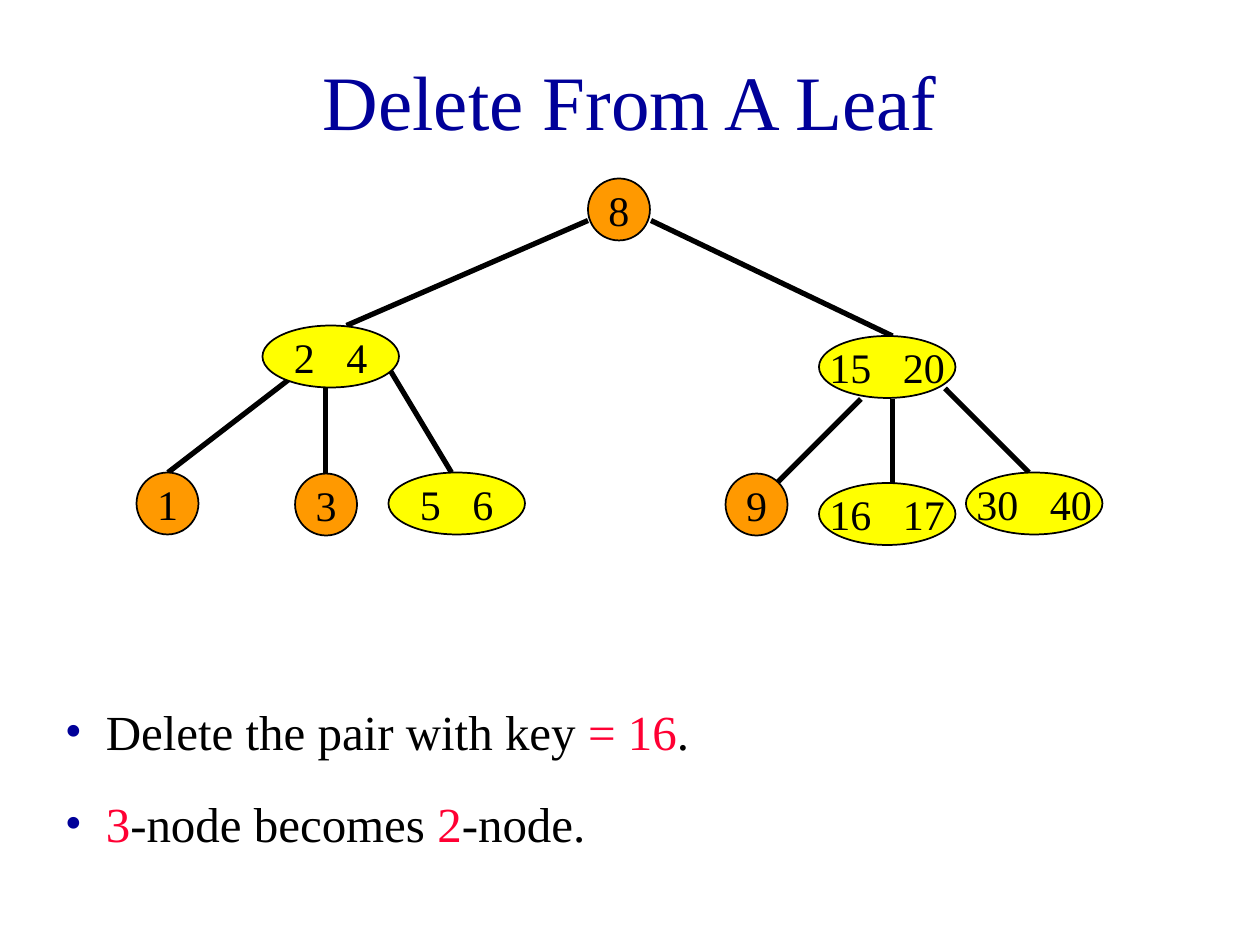
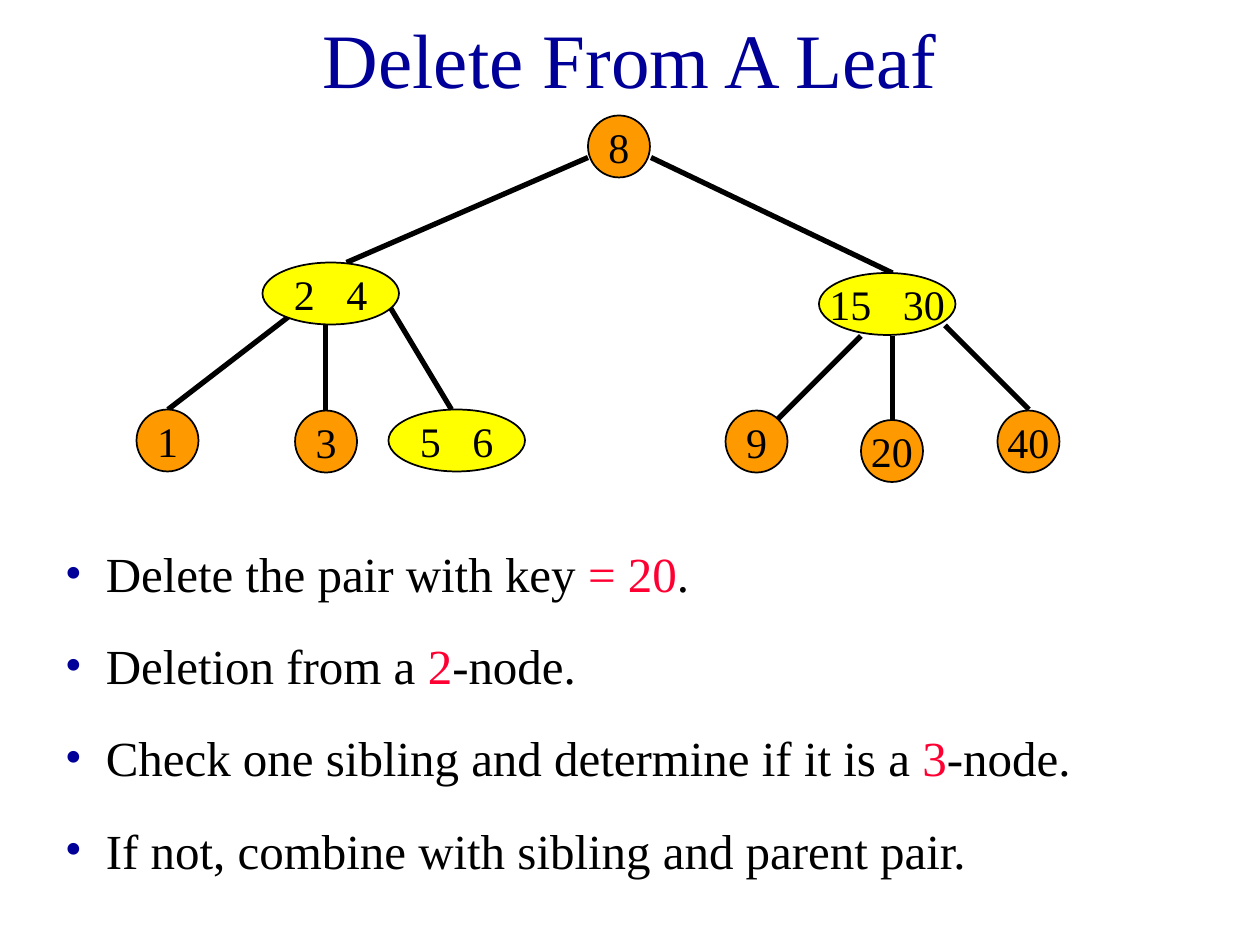
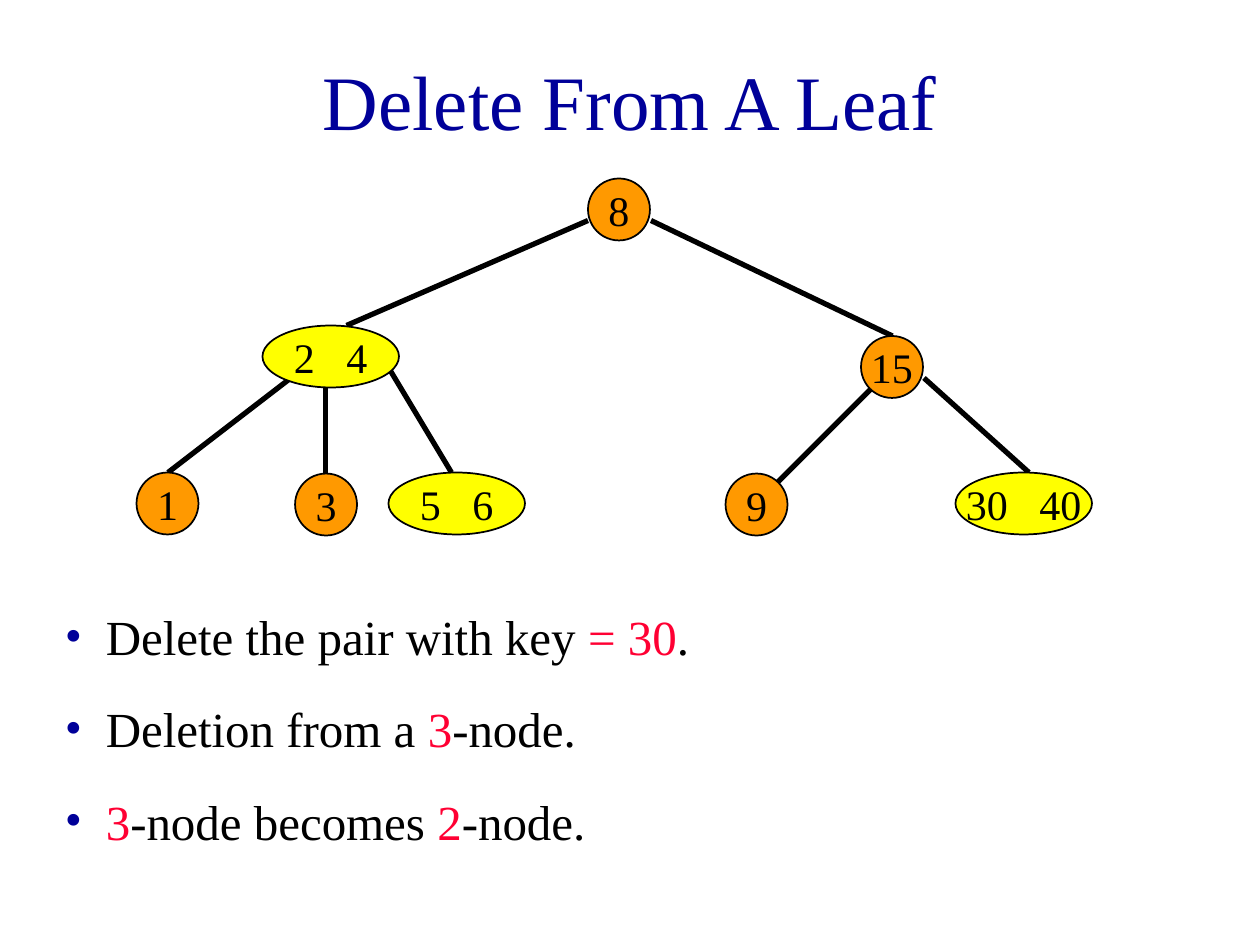
from dataclasses import dataclass

from lxml import etree
from pptx import Presentation
from pptx.dml.color import RGBColor
from pptx.enum.shapes import MSO_CONNECTOR, MSO_SHAPE
from pptx.enum.text import MSO_ANCHOR, PP_ALIGN
from pptx.oxml.ns import qn
from pptx.util import Pt

EMU_PER_PX = 7620  # 120 px to the inch
OVAL = MSO_SHAPE.OVAL
STRAIGHT = MSO_CONNECTOR.STRAIGHT
MIDDLE, TOP = MSO_ANCHOR.MIDDLE, MSO_ANCHOR.TOP
CENTER, LEFT = PP_ALIGN.CENTER, PP_ALIGN.LEFT


@dataclass(frozen=True)
class Theme:
    font: str = "Times New Roman"
    title_color: str = "000099"
    ink: str = "000000"
    accent: str = "FF0033"
    two_node: str = "FF9900"
    three_node: str = "FFFF00"
    title_size: int = 44
    body_size: int = 28
    key_size: int = 24
    key_gap: int = 12
    bullet_gap: int = 19
    outline: int = 1
    edge: int = 3


THEME = Theme()
SLIDE_WIDTH, SLIDE_HEIGHT = 1200, 900
NODE_HEIGHT = 59
NODE_STYLES = {1: (59, THEME.two_node), 2: (130, THEME.three_node)}

# Node: keys, left, top. Edge: x1, y1, x2, y2. Heights count from the root's top.
SHARED_NODES = [
    ((8,), 560, 0),
    ((2, 4), 250, 140),
    ((1,), 130, 280),
    ((3,), 281, 281),
    ((5, 6), 370, 280),
    ((9,), 691, 281),
]
SHARED_EDGES = [
    (560, 40, 330, 140),
    (620, 40, 850, 150),
    (290, 180, 160, 280),
    (310, 200, 310, 280),
    (370, 180, 430, 280),
]
THREE_CHILD_EDGES = [
    (820, 210, 740, 290),
    (850, 210, 850, 290),
    (900, 200, 980, 280),
]
TWO_CHILD_EDGES = [(830, 200, 740, 290), (880, 190, 980, 280)]

# Asterisks enclose the words in the accent colour.
STEPS = [
    {
        "title_area": (20, 150),
        "tree_top": 170,
        "nodes": [((15, 20), 780, 150), ((16, 17), 780, 290), ((30, 40), 920, 280)],
        "edges": THREE_CHILD_EDGES,
        "bullets_top": 660,
        "bullets": [
            "Delete the pair with key *= 16*.",
            "*3*-node becomes *2*-node.",
        ],
    },
    {
        "title_area": (0, 110),
        "tree_top": 110,
        "nodes": [((15, 30), 780, 150), ((20,), 820, 290), ((40,), 950, 281)],
        "edges": THREE_CHILD_EDGES,
        "bullets_top": 510,
        "bullets": [
            "Delete the pair with key *= 20*.",
            "Deletion from a *2*-node.",
            "Check one sibling and determine if it is a *3*-node.",
            "If not, combine with sibling and parent pair.",
        ],
    },
    {
        "title_area": (20, 150),
        "tree_top": 170,
        "nodes": [((15,), 820, 150), ((30, 40), 910, 280)],
        "edges": TWO_CHILD_EDGES,
        "bullets_top": 570,
        "bullets": [
            "Delete the pair with key *= 30*.",
            "Deletion from a *3*-node.",
            "*3*-node becomes *2*-node.",
        ],
    },
]


def px(*lengths):
    return [length * EMU_PER_PX for length in lengths]


def set_values(target, values):
    for name, value in values.items():
        setattr(target, name, value)


def set_frame(frame, anchor, wrap, margins):
    """Set anchor, wrapping and the left, top, right and bottom margins."""
    left, top, right, bottom = px(*margins)
    set_values(frame, {
        "vertical_anchor": anchor,
        "word_wrap": wrap,
        "margin_left": left,
        "margin_top": top,
        "margin_right": right,
        "margin_bottom": bottom,
    })


def add_span(para, text, size, color):
    span = para.add_run()
    span.text = text
    set_values(span.font, {"name": THEME.font, "size": Pt(size)})
    span.font.color.rgb = RGBColor.from_string(color)
    return span


def add_title(page, text, top, height):
    box = page.shapes.add_textbox(*px(90, top, 1020, height))
    set_frame(box.text_frame, MIDDLE, True, (12, 6, 12, 6))
    para = box.text_frame.paragraphs[0]
    para.alignment = CENTER
    add_span(para, text, THEME.title_size, THEME.title_color)


def add_node(page, keys, left, top):
    width, fill = NODE_STYLES[len(keys)]
    node = page.shapes.add_shape(OVAL, *px(left, top, width, NODE_HEIGHT))
    node.shadow.inherit = False
    node.fill.solid()
    node.fill.fore_color.rgb = RGBColor.from_string(fill)
    node.line.color.rgb = RGBColor.from_string(THEME.ink)
    node.line.width = Pt(THEME.outline)
    set_frame(node.text_frame, MIDDLE, False, (0, 0, 0, 0))
    para = node.text_frame.paragraphs[0]
    para.alignment = CENTER
    for index, key in enumerate(keys):
        if index:
            gap = add_span(para, " ", THEME.key_size, THEME.ink)
            gap._r.get_or_add_rPr().set("spc", str(THEME.key_gap * 100))
        add_span(para, str(key), THEME.key_size, THEME.ink)


def add_edge(page, ends):
    edge = page.shapes.add_connector(STRAIGHT, *px(*ends))
    edge.line.color.rgb = RGBColor.from_string(THEME.ink)
    edge.line.width = Pt(THEME.edge)
    etree.SubElement(edge._element.spPr, qn("a:effectLst"))


def add_tree(page, top, nodes, edges):
    for x1, y1, x2, y2 in edges:
        add_edge(page, (x1, top + y1, x2, top + y2))
    for keys, left, offset in nodes:
        add_node(page, keys, left, top + offset)


def set_bullet(para):
    (indent,) = px(39)
    properties = para._p.get_or_add_pPr()
    properties.set("marL", str(indent))
    properties.set("indent", str(-indent))
    color = etree.SubElement(properties, qn("a:buClr"))
    etree.SubElement(color, qn("a:srgbClr"), val=THEME.title_color)
    etree.SubElement(properties, qn("a:buFont"), typeface=THEME.font)
    etree.SubElement(properties, qn("a:buChar"), char="•")


def add_bullets(page, top, lines):
    height = 85 * len(lines) - 16
    box = page.shapes.add_textbox(*px(50, top, 1150, height))
    frame = box.text_frame
    set_frame(frame, TOP, True, (12, 8, 12, 6))
    for index, line in enumerate(lines):
        para = frame.add_paragraph() if index else frame.paragraphs[0]
        set_values(para, {"alignment": LEFT, "space_before": Pt(THEME.bullet_gap)})
        set_bullet(para)
        for part, text in enumerate(line.split("*")):
            if text:
                color = THEME.accent if part % 2 else THEME.ink
                add_span(para, text, THEME.body_size, color)


def main():
    deck = Presentation()
    deck.slide_width, deck.slide_height = px(SLIDE_WIDTH, SLIDE_HEIGHT)
    blank = deck.slide_layouts[6]
    for step in STEPS:
        page = deck.slides.add_slide(blank)
        add_title(page, "Delete From A Leaf", *step["title_area"])
        add_tree(
            page,
            step["tree_top"],
            SHARED_NODES + step["nodes"],
            SHARED_EDGES + step["edges"],
        )
        add_bullets(page, step["bullets_top"], step["bullets"])
    deck.save("out.pptx")


if __name__ == "__main__":
    main()
